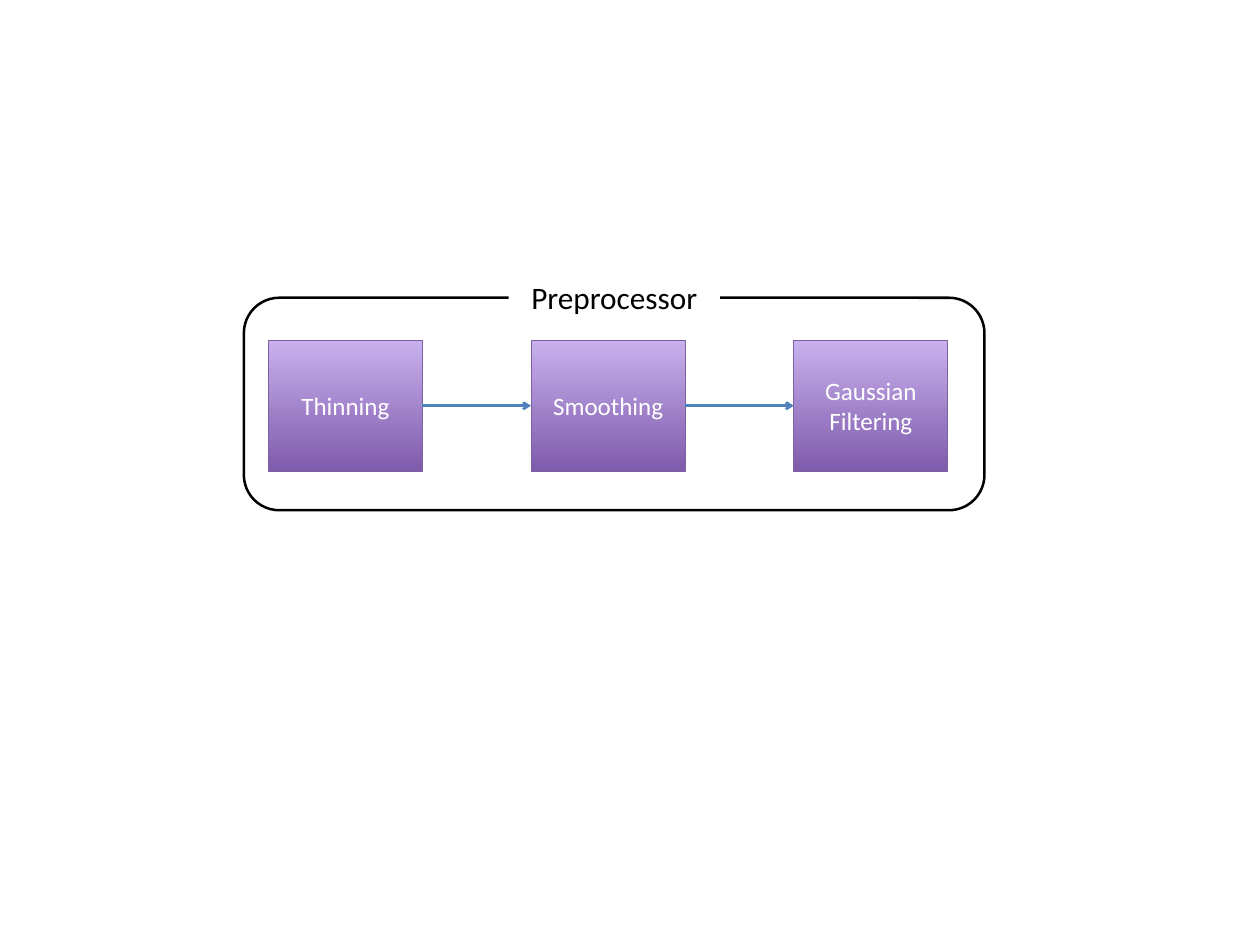
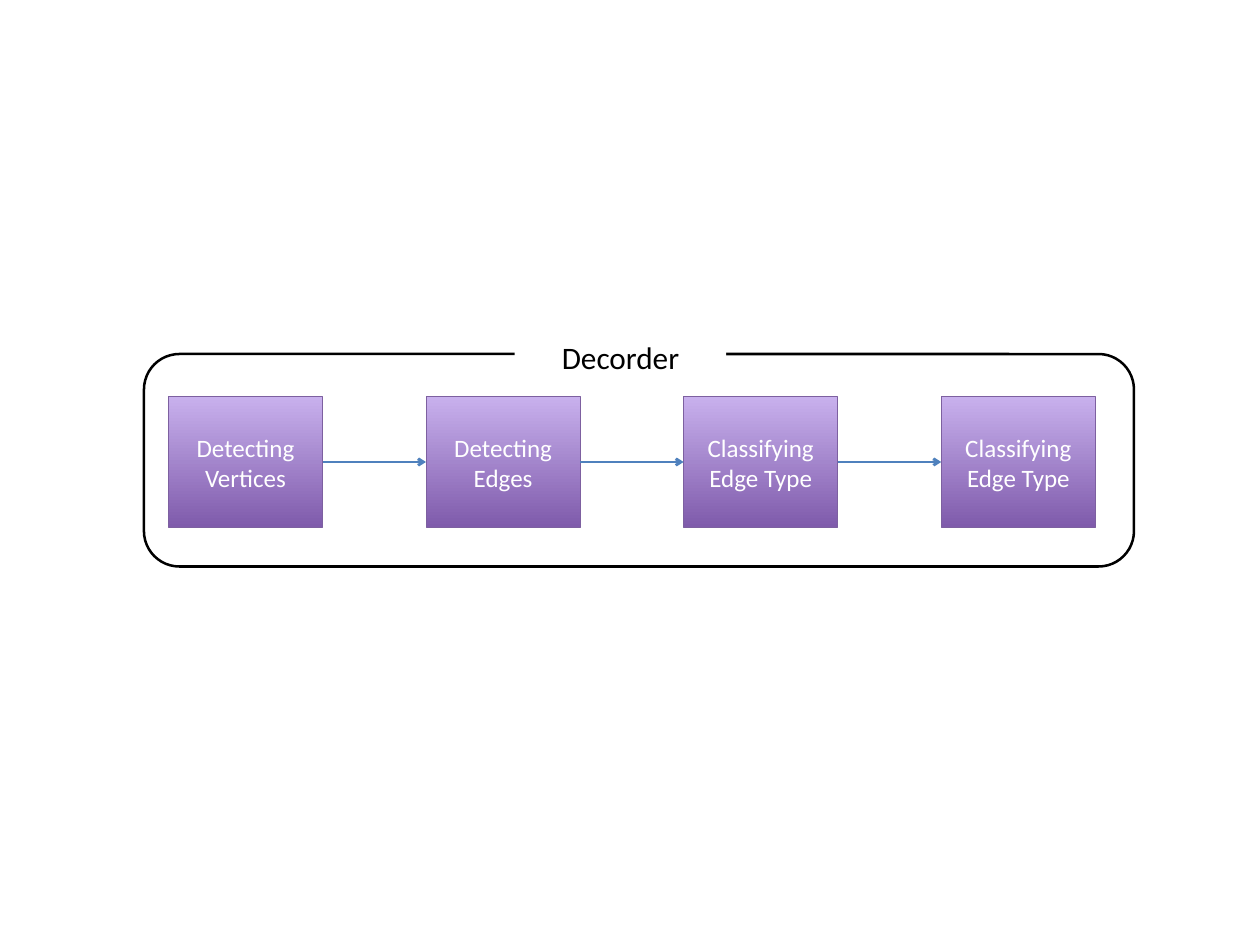
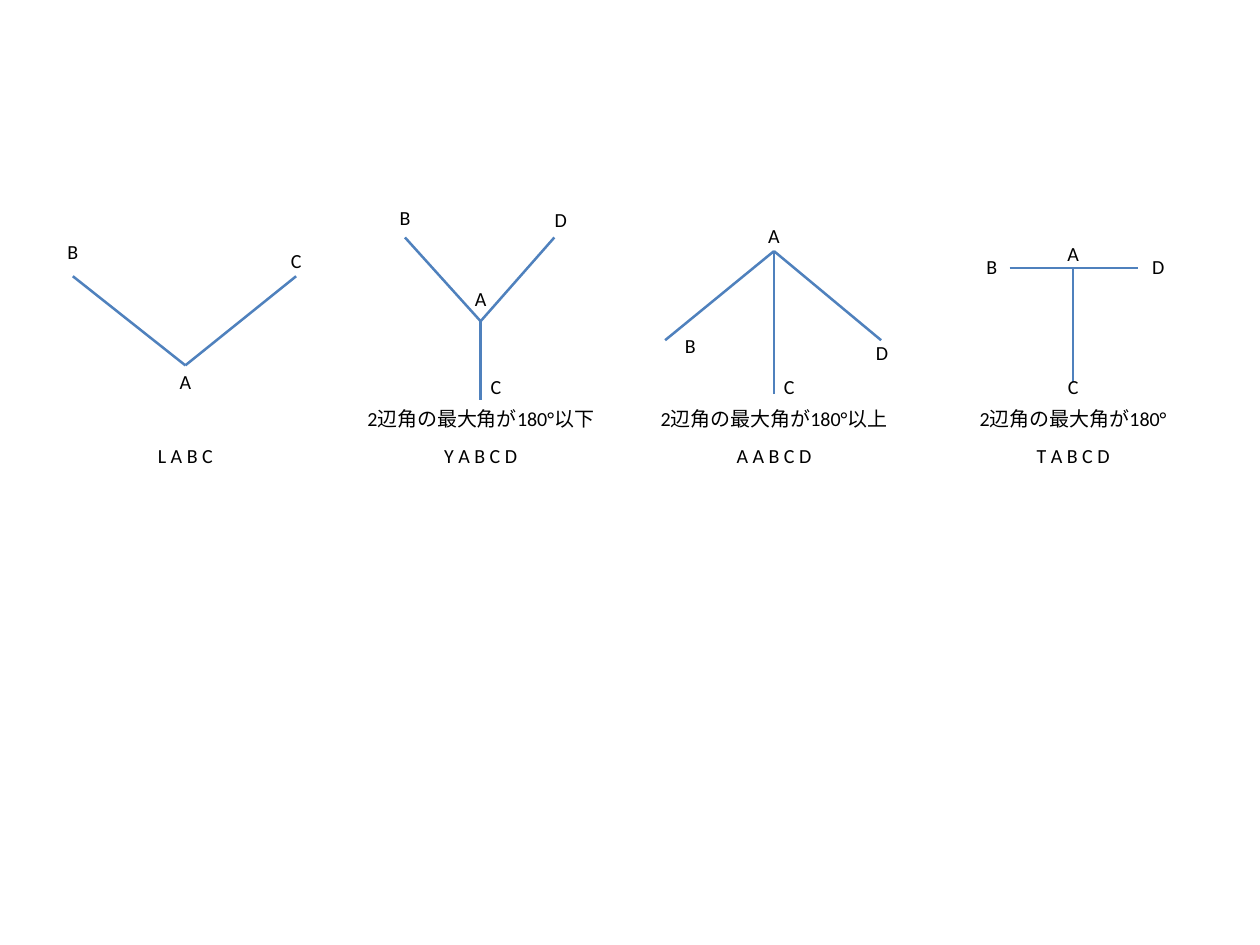
from dataclasses import dataclass

from lxml import etree
from pptx import Presentation
from pptx.dml.color import RGBColor
from pptx.enum.shapes import MSO_CONNECTOR, MSO_SHAPE
from pptx.enum.text import MSO_ANCHOR, MSO_AUTO_SIZE, PP_ALIGN
from pptx.oxml.ns import qn
from pptx.util import Pt

BLACK = RGBColor(0x00, 0x00, 0x00)
WHITE = RGBColor(0xFF, 0xFF, 0xFF)
BLUE = RGBColor(0x4F, 0x81, 0xBD)
PURPLE_DARK = RGBColor(0x7F, 0x5B, 0xAB)
PURPLE_LIGHT = RGBColor(0xC8, 0xB0, 0xED)
PURPLE_EDGE = RGBColor(0x7D, 0x60, 0xA0)

FONT = "Calibri"
BLANK_LAYOUT = 6
LINE_WIDTH = 2

# Pipeline diagrams
STEP_WIDTH, STEP_HEIGHT = 123.4, 104.4
STEP_INSET_X, STEP_INSET_Y = 19.5, 34.2
FRAME_HEIGHT = 170
LABEL_WIDTH, LABEL_HEIGHT = 169.2, 37.4
SITE_LEFT, SITE_RIGHT = 1, 3

# Junction diagrams
LETTER_WIDTH, CAPTION_WIDTH, TEXT_HEIGHT = 43.2, 222.5, 26.6
CAPTION_TOP, CODE_TOP = 321.8, 351.4


@dataclass
class Junction:
    """Lines that meet at a hub, lettered at (centre x, top) positions."""
    code: str
    hub: tuple
    ends: list
    letters: dict
    caption: str = ""


JUNCTIONS = [
    Junction("L A B C", (148.3, 292.3), [(58.3, 221), (236.9, 221)],
             {"A": (148.3, 292.3), "B": (58.3, 187.9), "C": (236.9, 195.1)}),
    Junction("Y A B C D", (384.5, 257),
             [(324, 190), (443.5, 190), (384.5, 319.7)],
             {"A": (384.5, 225.4), "B": (324, 161.3),
              "C": (396.7, 295.9), "D": (448.6, 162.7)},
             "2辺角の最大角が180°以下"),
    Junction("A A B C D", (619.2, 200.9),
             [(532.1, 272.2), (704.9, 272.2), (619.2, 315.4)],
             {"A": (619.2, 175), "B": (552.2, 263.5),
              "C": (631.4, 295.9), "D": (705.6, 268.6)},
             "2辺角の最大角が180°以上"),
    Junction("T A B C D", (858.5, 214.6),
             [(807.8, 214.6), (910.1, 214.6), (858.5, 305.3)],
             {"A": (858.5, 189.4), "B": (793.4, 200.2),
              "C": (858.5, 295.9), "D": (926.6, 200.2)},
             "2辺角の最大角が180°"),
]


def write_text(box, text, size, color):
    """Fill a box with centred text, one paragraph a line."""
    frame = box.text_frame
    frame.word_wrap = True
    frame.text = text
    for paragraph in frame.paragraphs:
        paragraph.alignment = PP_ALIGN.CENTER
        paragraph.font.name = FONT
        paragraph.font.size = Pt(size)
        paragraph.font.color.rgb = color


def add_box(group, kind, left, top, width, height):
    """Add a preset shape without shadow."""
    box = group.shapes.add_shape(kind, Pt(left), Pt(top), Pt(width), Pt(height))
    box.shadow.inherit = False
    return box


def add_line(group, start, end):
    """Add a plain blue line between two points, without shadow."""
    line = group.shapes.add_connector(
        MSO_CONNECTOR.STRAIGHT, *(Pt(value) for value in (*start, *end)))
    line.line.color.rgb = BLUE
    line.line.width = Pt(LINE_WIDTH)
    etree.SubElement(line._element.spPr, qn("a:effectLst"))
    return line


def add_step(group, left, top, text):
    """Add one purple gradient step of a pipeline."""
    step = add_box(group, MSO_SHAPE.RECTANGLE, left, top, STEP_WIDTH, STEP_HEIGHT)
    step.fill.gradient()
    step.fill.gradient_angle = 90
    for stop, color in zip(step.fill.gradient_stops, (PURPLE_DARK, PURPLE_LIGHT)):
        stop.color.rgb = color
    step.line.color.rgb = PURPLE_EDGE
    step.line.width = Pt(0.75)
    step.text_frame.vertical_anchor = MSO_ANCHOR.MIDDLE
    write_text(step, text, 20, WHITE)
    return step


def add_arrow(group, source, target):
    """Join two neighbouring steps with an arrow."""
    middle = source.top.pt + STEP_HEIGHT / 2
    arrow = add_line(group, (source.left.pt + STEP_WIDTH, middle),
                     (target.left.pt, middle))
    arrow.begin_connect(source, SITE_RIGHT)
    arrow.end_connect(target, SITE_LEFT)
    etree.SubElement(arrow.line._get_or_add_ln(), qn("a:tailEnd"), type="arrow")


def add_frame(group, left, top, width):
    """Add the rounded outline around a pipeline."""
    frame = add_box(group, MSO_SHAPE.ROUNDED_RECTANGLE, left, top, width, FRAME_HEIGHT)
    frame.fill.background()
    frame.line.color.rgb = BLACK
    frame.line.width = Pt(LINE_WIDTH)


def add_label(group, left, top, text):
    """Add the pipeline name that interrupts the outline."""
    label = add_box(group, MSO_SHAPE.RECTANGLE, left, top, LABEL_WIDTH, LABEL_HEIGHT)
    label.fill.solid()
    label.fill.fore_color.rgb = WHITE
    label.line.fill.background()
    label.text_frame.vertical_anchor = MSO_ANCHOR.TOP
    label.text_frame.auto_size = MSO_AUTO_SIZE.SHAPE_TO_FIT_TEXT
    write_text(label, text, 25, BLACK)


def add_pipeline(deck, name, label_at, frame_at, frame_width, pitch, steps):
    """Add a page with framed steps at equal pitch, joined by arrows."""
    group = add_page(deck).shapes.add_group_shape()
    left, top = frame_at
    boxes = [add_step(group, left + STEP_INSET_X + index * pitch,
                      top + STEP_INSET_Y, text)
             for index, text in enumerate(steps)]
    for source, target in zip(boxes, boxes[1:]):
        add_arrow(group, source, target)
    add_frame(group, left, top, frame_width)
    add_label(group, *label_at, name)


def add_caption(group, center, top, width, text):
    """Add small text centred on an x position."""
    box = group.shapes.add_textbox(Pt(center - width / 2), Pt(top),
                                   Pt(width), Pt(TEXT_HEIGHT))
    box.text_frame.auto_size = MSO_AUTO_SIZE.SHAPE_TO_FIT_TEXT
    write_text(box, text, 16, BLACK)


def add_junction(page, junction):
    """Add one junction with its letters, caption and code."""
    group = page.shapes.add_group_shape()
    for end in junction.ends:
        add_line(group, end, junction.hub)
    for letter, (center, top) in junction.letters.items():
        add_caption(group, center, top, LETTER_WIDTH, letter)
    center = junction.hub[0]
    if junction.caption:
        add_caption(group, center, CAPTION_TOP, CAPTION_WIDTH, junction.caption)
    add_caption(group, center, CODE_TOP, CAPTION_WIDTH, junction.code)


def add_page(deck):
    """Add a blank page."""
    return deck.slides.add_slide(deck.slide_layouts[BLANK_LAYOUT])


def main():
    """Build the deck."""
    deck = Presentation()
    deck.slide_width, deck.slide_height = Pt(1008), Pt(756)
    add_pipeline(deck, "Preprocessor", (406.8, 218.9), (195.1, 238.2), 592.5, 210.2,
                 ["Thinning", "Smoothing", "Gaussian\nFiltering"])
    add_pipeline(deck, "Decorder", (411.8, 267.1), (115.2, 283.2), 792, 206.1,
                 ["Detecting\nVertices", "Detecting\nEdges",
                  "Classifying\nEdge Type", "Classifying\nEdge Type"])
    page = add_page(deck)
    for junction in JUNCTIONS:
        add_junction(page, junction)
    deck.save("out.pptx")


main()
